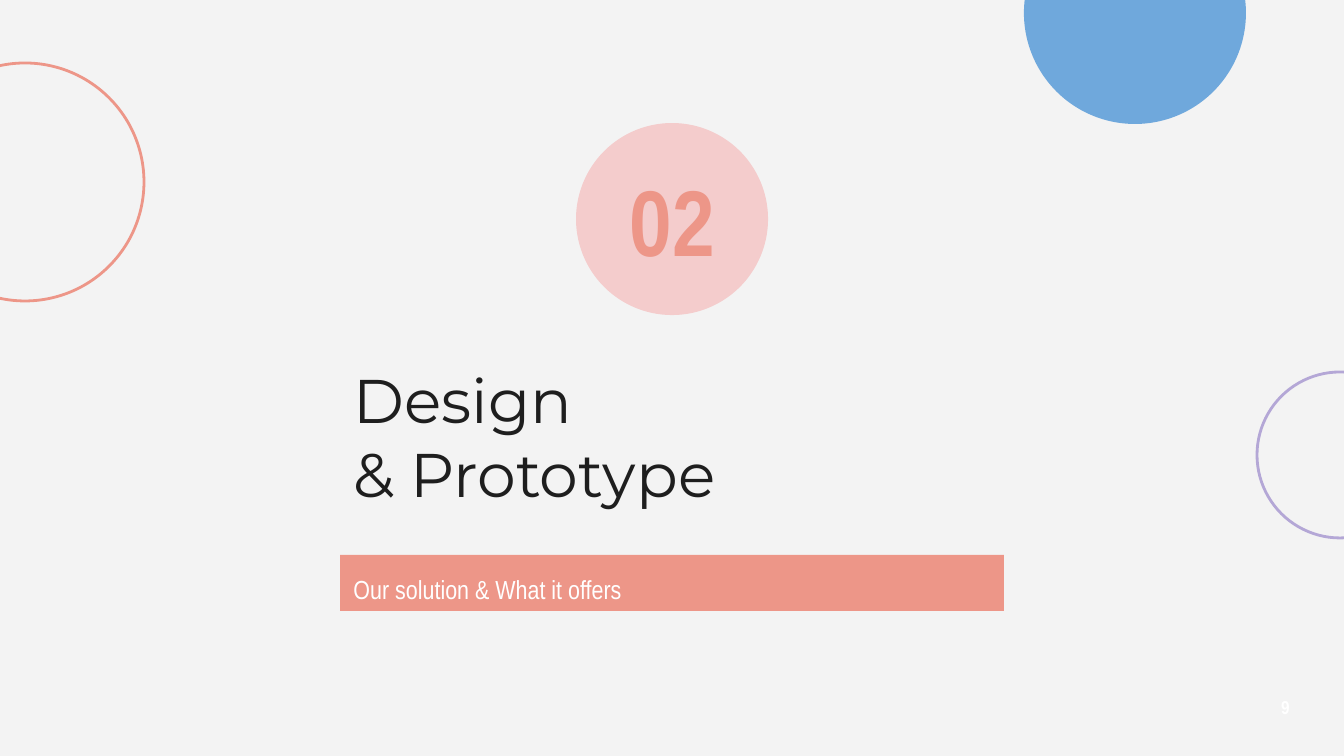
from pptx import Presentation
from pptx.dml.color import RGBColor
from pptx.enum.shapes import MSO_SHAPE as Shape
from pptx.enum.text import MSO_ANCHOR as Anchor, MSO_AUTO_SIZE as AutoSize, PP_ALIGN as Align
from pptx.util import Emu, Inches, Pt

EMU_PER_PX = 914400 / 134.4
CORAL, BLUE, LILAC, PINK = "ED9688", "6FA8DC", "B4A7D6", "F4CCCC"
PAPER, INK, WHITE = "F3F3F3", "1E1E1E", "FFFFFF"
NARROW, DISPLAY = "Arial Narrow", "Montserrat"


def px(length):
    return Emu(round(length * EMU_PER_PX))


def rgb(value):
    return RGBColor.from_string(value)


class SectionSlide:
    def __init__(self, deck):
        self.slide = deck.slides.add_slide(deck.slide_layouts[0])
        background = self.slide.background.fill
        background.solid()
        background.fore_color.rgb = rgb(PAPER)

    def circle(self, left, top, size, fill=None, line=None):
        disc = self.slide.shapes.add_shape(Shape.OVAL, px(left), px(top), px(size), px(size))
        disc.shadow.inherit = False
        if fill:
            disc.fill.solid()
            disc.fill.fore_color.rgb = rgb(fill)
        else:
            disc.fill.background()
        if line:
            disc.line.color.rgb = rgb(line)
            disc.line.width = Pt(1.5)
        else:
            disc.line.fill.background()

    def set_text(self, holder, lines, size, color, font=NARROW, bold=False,
                 align=Align.LEFT, anchor=Anchor.MIDDLE, spacing=1.0, after=0):
        frame = holder.text_frame
        frame.text = "\n".join(lines)
        frame.word_wrap = True
        frame.auto_size = AutoSize.NONE
        frame.vertical_anchor = anchor
        frame.margin_left = frame.margin_right = Inches(0.1)
        frame.margin_top = frame.margin_bottom = Inches(0.1)
        for paragraph in frame.paragraphs:
            paragraph.alignment = align
            paragraph.line_spacing = spacing
            paragraph.space_before = Pt(0)
            paragraph.space_after = Pt(after)
            paragraph.font.name = font
            paragraph.font.size = Pt(size)
            paragraph.font.bold = bold
            paragraph.font.color.rgb = rgb(color)

    def label(self, box, text, size, color, **style):
        holder = self.slide.shapes.add_textbox(*map(px, box))
        self.set_text(holder, [text], size, color, **style)

    def placeholder(self, index, box, lines, size, color, fill=None, **style):
        holder = self.slide.placeholders[index]
        holder.left, holder.top, holder.width, holder.height = map(px, box)
        if fill:
            holder.fill.solid()
            holder.fill.fore_color.rgb = rgb(fill)
        self.set_text(holder, lines, size, color, **style)


def main():
    deck = Presentation()
    deck.slide_width, deck.slide_height = px(1344), px(756)
    section = SectionSlide(deck)

    # Circles running off the edges
    section.circle(-94, 63, 238, line=CORAL)
    section.circle(1024, -98, 222, fill=BLUE)
    section.circle(1257, 372, 166, line=LILAC)

    # Section number
    section.circle(576, 123, 192, fill=PINK)
    section.label((586, 163, 172, 113), "02", 50, CORAL, bold=True, align=Align.CENTER)

    # Title and subtitle bar
    section.placeholder(0, (340, 340, 664, 192), ["Design", "& Prototype"], 33, INK,
                        font=DISPLAY)
    section.placeholder(1, (340, 555, 664, 56), ["Our solution & What it offers"], 14, WHITE,
                        fill=CORAL, anchor=Anchor.TOP, spacing=1.15, after=12)

    # Page number
    section.label((1223, 682, 80, 50), "9", 10, WHITE, bold=True, align=Align.RIGHT)

    deck.save("out.pptx")


if __name__ == "__main__":
    main()
